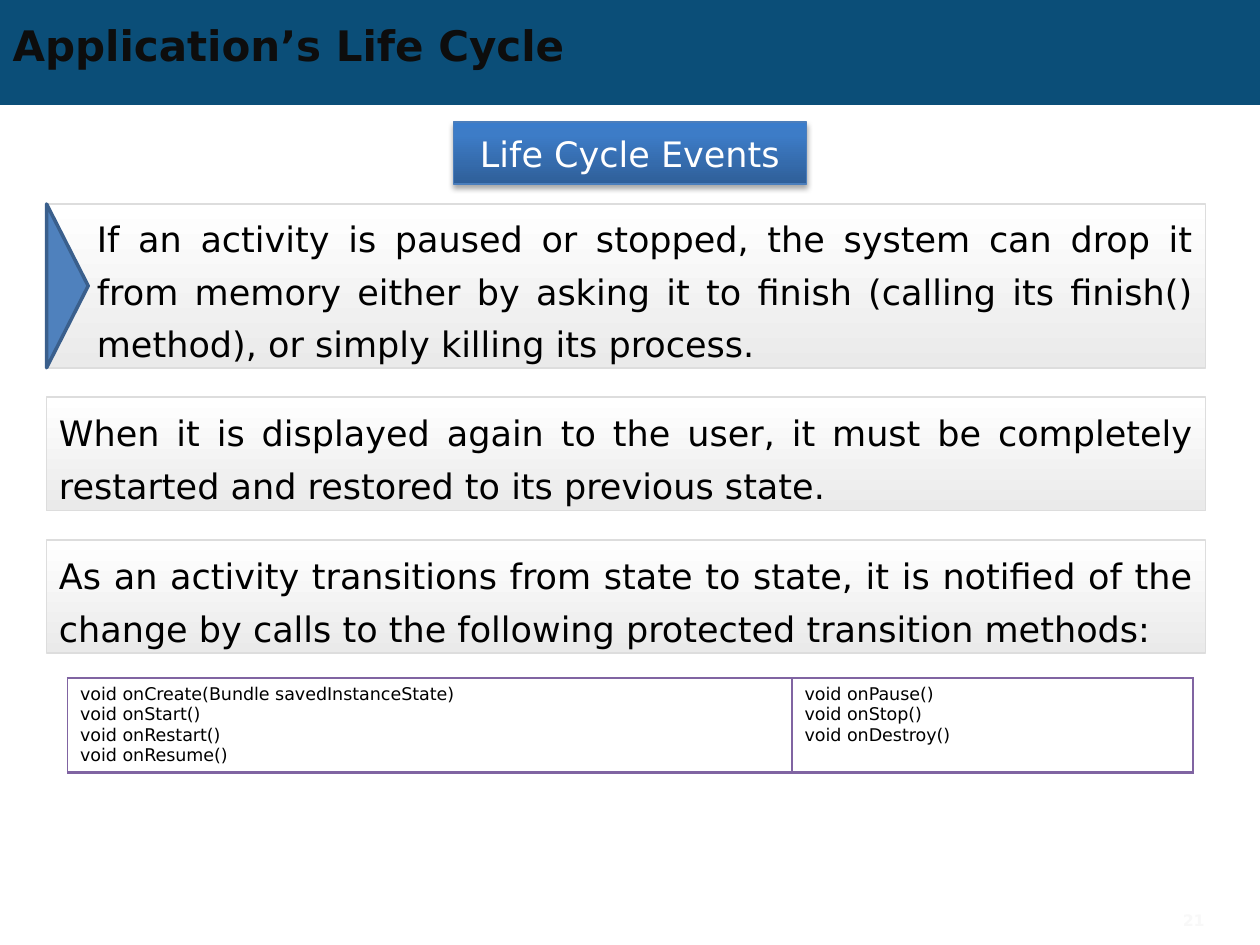
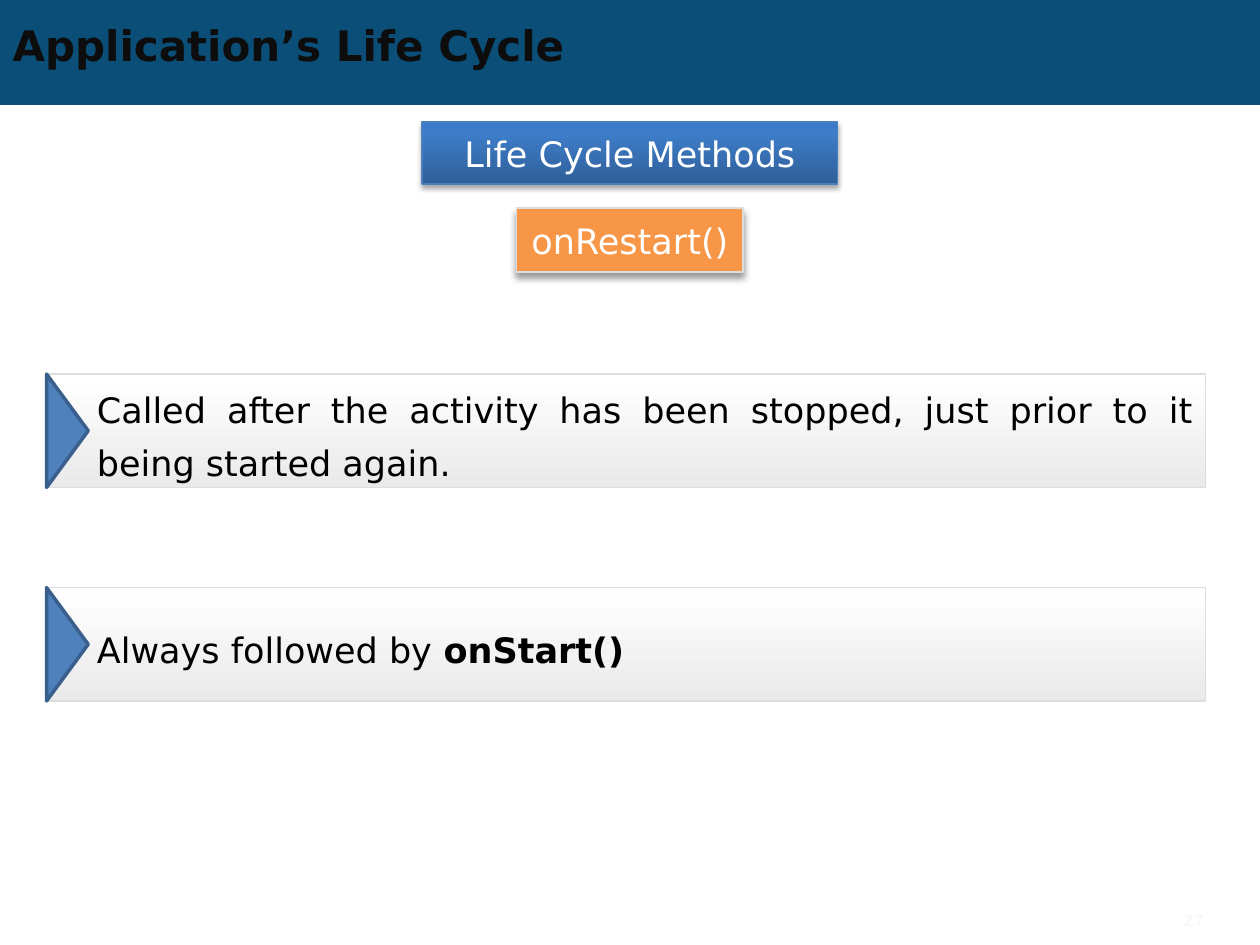
from lxml.etree import SubElement
from pptx import Presentation
from pptx.dml.color import RGBColor
from pptx.enum.shapes import MSO_SHAPE
from pptx.enum.text import MSO_ANCHOR, MSO_AUTO_SIZE, PP_ALIGN
from pptx.oxml.ns import qn
from pptx.util import Pt

FONT = "DejaVu Sans"
BAND = RGBColor(0x0B, 0x4E, 0x78)
INK = RGBColor(0x0D, 0x0D, 0x0D)
BLACK = RGBColor(0x00, 0x00, 0x00)
WHITE = RGBColor(0xFF, 0xFF, 0xFF)
FAINT = RGBColor(0xF8, 0xF8, 0xF8)
ORANGE = RGBColor(0xF7, 0x96, 0x46)
HEADING_EDGE = RGBColor(0x4B, 0x7E, 0xBC)
PALE_EDGE = RGBColor(0xDD, 0xDD, 0xDD)
MARKER = RGBColor(0x4F, 0x81, 0xBD)
MARKER_EDGE = RGBColor(0x3A, 0x5F, 0x8C)
PURPLE = RGBColor(0x80, 0x64, 0xA2)
HEADING_STOPS = [(0, RGBColor(0x2F, 0x5F, 0x99)), (80, RGBColor(0x3D, 0x7C, 0xC7)),
                 (100, RGBColor(0x3A, 0x7C, 0xCB))]
PANEL_STOPS = [(0, WHITE), (100, RGBColor(0xEA, 0xEA, 0xEA))]

PAGE_WIDTH, PAGE_HEIGHT = 720, 540
PANEL_LEFT, PANEL_WIDTH = 26.6, 662.4
LINE_HEIGHT = 30
MARKER_DEPTH = 23.8
PANEL_HEIGHTS = {1: 64.8, 2: 64.8, 3: 93.6}
TABLE_LEFT, TABLE_TOP, TABLE_HEIGHT = 38.6, 387.4, 53.8
COLUMN_WIDTHS = [414, 229]

TITLE = "Application’s Life Cycle"
SLIDES = [
    {
        "number": "21",
        "heading": ("Life Cycle Events", 201.6),
        "panels_top": 116.6,
        "panel_gap": 16.8,
        "panels": [
            {"text": "If an activity is paused or stopped, the system can drop it from memory "
                     "either by asking it to finish (calling its finish() method), or simply "
                     "killing its process.", "lines": 3, "marker": True},
            {"text": "When it is displayed again to the user, it must be completely restarted "
                     "and restored to its previous state.", "lines": 2, "marker": False},
            {"text": "As an activity transitions from state to state, it is notified of the "
                     "change by calls to the following protected transition methods:",
             "lines": 2, "marker": False},
        ],
        "methods": [
            ["void onCreate(Bundle savedInstanceState)", "void onStart()",
             "void onRestart()", "void onResume()"],
            ["void onPause()", "void onStop()", "void onDestroy()"],
        ],
    },
    {
        "number": "27",
        "heading": ("Life Cycle Methods", 237.6),
        "method": ("onRestart()", 129.6),
        "panels_top": 213.8,
        "panel_gap": 57.2,
        "panels": [
            {"text": "Called after the activity has been stopped, just prior to it being "
                     "started again.", "lines": 2, "marker": True},
            {"text": "Always followed by **onStart()**", "lines": 1, "marker": True},
        ],
    },
]


def write(frame, *lines, size=20, color=BLACK, bold=False, align=PP_ALIGN.LEFT,
          spacing=None, insets=(7.2, 3.6, 7.2, 3.6), anchor=MSO_ANCHOR.MIDDLE):
    frame.word_wrap = True
    frame.auto_size = MSO_AUTO_SIZE.NONE
    frame.vertical_anchor = anchor
    frame.margin_left, frame.margin_top, frame.margin_right, frame.margin_bottom = map(Pt, insets)
    for index, line in enumerate(lines):
        para = frame.add_paragraph() if index else frame.paragraphs[0]
        para.alignment = align
        if spacing:
            para.line_spacing = Pt(spacing)
        for part, text in enumerate(line.split("**")):
            if text:
                span = para.add_run()
                span.text = text
                span.font.name = FONT
                span.font.size = Pt(size)
                span.font.bold = bold or part % 2 == 1
                span.font.color.rgb = color


def add_box(shapes, left, top, width, height, fill=None, edge=None, edge_width=1,
            kind=MSO_SHAPE.RECTANGLE):
    box = shapes.add_shape(kind, Pt(left), Pt(top), Pt(width), Pt(height))
    box.shadow.inherit = False
    if fill is not None:
        box.fill.solid()
        box.fill.fore_color.rgb = fill
    if edge is None:
        box.line.fill.background()
    else:
        box.line.color.rgb = edge
        box.line.width = Pt(edge_width)
    return box


def shade(box, stops, angle):
    box.fill.gradient()
    box.fill.gradient_angle = angle
    stop_list = box.element.spPr.find(".//" + qn("a:gsLst"))
    for stop in list(stop_list):
        stop_list.remove(stop)
    for position, color in stops:
        stop = SubElement(stop_list, qn("a:gs"), pos=str(position * 1000))
        SubElement(stop, qn("a:srgbClr"), val=str(color))


def cast_shadow(box, opacity, blur, distance):
    effects = box.element.spPr.find(qn("a:effectLst"))
    shadow = SubElement(effects, qn("a:outerShdw"), blurRad=str(int(Pt(blur))),
                        dist=str(int(Pt(distance))), dir="5400000", rotWithShape="0")
    color = SubElement(shadow, qn("a:srgbClr"), val=str(BLACK))
    SubElement(color, qn("a:alpha"), val=str(opacity * 1000))


def add_heading(page, text, width):
    box = add_box(page.shapes, (PAGE_WIDTH - width) / 2, 69.7, width, 35.5,
                  edge=HEADING_EDGE, edge_width=0.75)
    shade(box, HEADING_STOPS, 90)
    cast_shadow(box, 35, 3.1, 1.8)
    write(box.text_frame, text, color=WHITE, align=PP_ALIGN.CENTER)


def add_method(page, text, width):
    box = add_box(page.shapes, (PAGE_WIDTH - width) / 2, 118.9, width, 36.6,
                  fill=ORANGE, edge=PALE_EDGE)
    cast_shadow(box, 40, 4, 3)
    write(box.text_frame, text, color=WHITE, align=PP_ALIGN.CENTER, insets=(0, 0, 0, 0))


def add_panel(page, panel, top):
    height = PANEL_HEIGHTS[panel["lines"]]
    shapes = page.shapes.add_group_shape().shapes if panel["marker"] else page.shapes
    box = add_box(shapes, PANEL_LEFT, top, PANEL_WIDTH, height, edge=PALE_EDGE)
    shade(box, PANEL_STOPS, 270)
    insets = (28.8, 0, 7.2, 0) if panel["marker"] else (7.2, 3.6, 7.2, 3.6)
    write(box.text_frame, panel["text"], align=PP_ALIGN.JUSTIFY, spacing=LINE_HEIGHT,
          insets=insets)
    if panel["marker"]:
        shift = (height - MARKER_DEPTH) / 2
        marker = add_box(shapes, PANEL_LEFT - shift, top + shift, height, MARKER_DEPTH,
                         fill=MARKER, edge=MARKER_EDGE, edge_width=2,
                         kind=MSO_SHAPE.ISOSCELES_TRIANGLE)
        marker.rotation = 90
    return top + height


def add_method_table(page, columns):
    table = page.shapes.add_table(1, len(columns), Pt(TABLE_LEFT), Pt(TABLE_TOP),
                                  Pt(sum(COLUMN_WIDTHS)), Pt(TABLE_HEIGHT)).table
    table.first_row = table.horz_banding = False
    for index, methods in enumerate(columns):
        table.columns[index].width = Pt(COLUMN_WIDTHS[index])
        cell = table.cell(0, index)
        write(cell.text_frame, *methods, size=10, anchor=MSO_ANCHOR.TOP)
        cell.vertical_anchor = MSO_ANCHOR.TOP
        properties = cell._tc.get_or_add_tcPr()
        for side, width in (("L", 1), ("R", 1), ("T", 1), ("B", 2)):
            border = SubElement(properties, qn("a:ln" + side), w=str(int(Pt(width))))
            SubElement(SubElement(border, qn("a:solidFill")), qn("a:srgbClr"), val=str(PURPLE))
        cell.fill.background()


def prepare_layout(layout, page):
    band = add_box(page.shapes, 0, 0, PAGE_WIDTH, 60, fill=BAND)
    band.element.nvSpPr.cNvPr.set("id", "20")
    layout.shapes.element.insert(2, band.element)


def add_page(deck, layout, content):
    page = deck.slides.add_slide(layout)
    title = page.shapes.title
    title.left, title.top, title.width, title.height = Pt(0), Pt(10.1), Pt(648), Pt(31)
    write(title.text_frame, TITLE, size=24, color=INK, bold=True)
    add_heading(page, *content["heading"])
    if "method" in content:
        add_method(page, *content["method"])
    top = content["panels_top"]
    for panel in content["panels"]:
        top = add_panel(page, panel, top) + content["panel_gap"]
    if "methods" in content:
        add_method_table(page, content["methods"])
    number = page.shapes.add_textbox(Pt(648), Pt(516), Pt(47.5), Pt(20))
    write(number.text_frame, content["number"], size=9, color=FAINT, bold=True,
          align=PP_ALIGN.RIGHT)
    return page


def main():
    deck = Presentation()
    deck.slide_width, deck.slide_height = Pt(PAGE_WIDTH), Pt(PAGE_HEIGHT)
    layout = deck.slide_layouts[5]
    pages = [add_page(deck, layout, content) for content in SLIDES]
    prepare_layout(layout, pages[0])
    deck.save("out.pptx")


if __name__ == "__main__":
    main()
